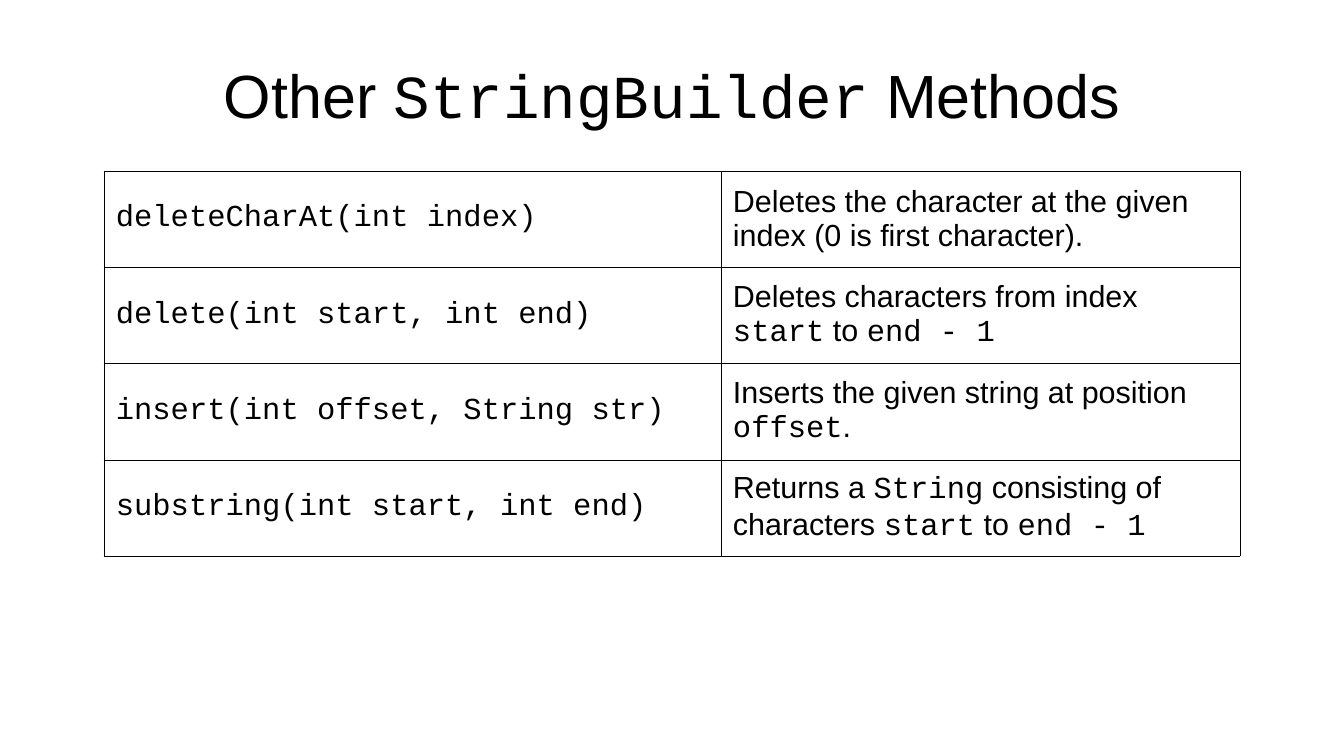
from dataclasses import dataclass
from lxml.etree import SubElement
from pptx import Presentation
from pptx.dml.color import RGBColor
from pptx.enum.text import MSO_ANCHOR as ANCHOR, MSO_AUTO_SIZE as FIT, PP_ALIGN as ALIGN
from pptx.oxml.ns import qn
from pptx.util import Inches, Pt

TITLE = "Other `StringBuilder` Methods"
METHODS = [
    ("`deleteCharAt(int index)`",
     "Deletes the character at the given index (0 is first character)."),
    ("`delete(int start, int end)`",
     "Deletes characters from index `start` to `end - 1`"),
    ("`insert(int offset, String str)`",
     "Inserts the given string at position `offset`."),
    ("`substring(int start, int end)`",
     "Returns a `String` consisting of characters `start` to `end - 1`"),
]
COL_WIDTHS = (5.06, 4.26)
ROW_HEIGHT = 0.79


@dataclass(frozen=True)
class Theme:
    ink: str = "000000"
    paper: str = "FFFFFF"
    prose: str = "Arial"
    code: str = "Courier New"
    title: int = 36
    body: int = 18
    border: float = 0.06


THEME = Theme()


def add_runs(p, text, size):
    for i, part in enumerate(text.split("`")):
        if part:
            r = p.add_run()
            r.text = part
            r.font.name = THEME.code if i % 2 else THEME.prose
            r.font.size = Pt(size)
            r.font.color.rgb = RGBColor.from_string(THEME.ink)


def add_borders(cell):
    tc_pr = cell._tc.get_or_add_tcPr()
    for side in ("lnL", "lnR", "lnT", "lnB"):
        ln = SubElement(tc_pr, qn(f"a:{side}"), w=str(Pt(THEME.border)))
        fill = SubElement(ln, qn("a:solidFill"))
        SubElement(fill, qn("a:srgbClr"), val=THEME.ink)


def fill_cell(cell, text):
    add_borders(cell)
    cell.fill.solid()
    cell.fill.fore_color.rgb = RGBColor.from_string(THEME.paper)
    cell.vertical_anchor = ANCHOR.MIDDLE
    cell.margin_left = cell.margin_right = Inches(0.1)
    cell.margin_top = cell.margin_bottom = Inches(0.05)
    add_runs(cell.text_frame.paragraphs[0], text, THEME.body)


prs = Presentation()
prs.slide_width, prs.slide_height = Inches(11.02), Inches(6.2)
s = prs.slides.add_slide(prs.slide_layouts[5])

title = s.shapes.title
title.left, title.top = Inches(0.55), Inches(0.25)
title.width, title.height = Inches(9.92), Inches(1.04)
tf = title.text_frame
tf.margin_left = tf.margin_right = tf.margin_top = tf.margin_bottom = 0
tf.vertical_anchor = ANCHOR.MIDDLE
tf.word_wrap = True
tf.auto_size = FIT.NONE
tf.paragraphs[0].alignment = ALIGN.CENTER
add_runs(tf.paragraphs[0], TITLE, THEME.title)

table = s.shapes.add_table(
    len(METHODS), len(COL_WIDTHS), Inches(0.85), Inches(1.4),
    Inches(sum(COL_WIDTHS)), Inches(ROW_HEIGHT * len(METHODS))).table
table.first_row = table.horz_banding = False
for col, width in zip(table.columns, COL_WIDTHS):
    col.width = Inches(width)
for row, texts in zip(table.rows, METHODS):
    row.height = Inches(ROW_HEIGHT)
    for cell, text in zip(row.cells, texts):
        fill_cell(cell, text)

prs.save("out.pptx")
